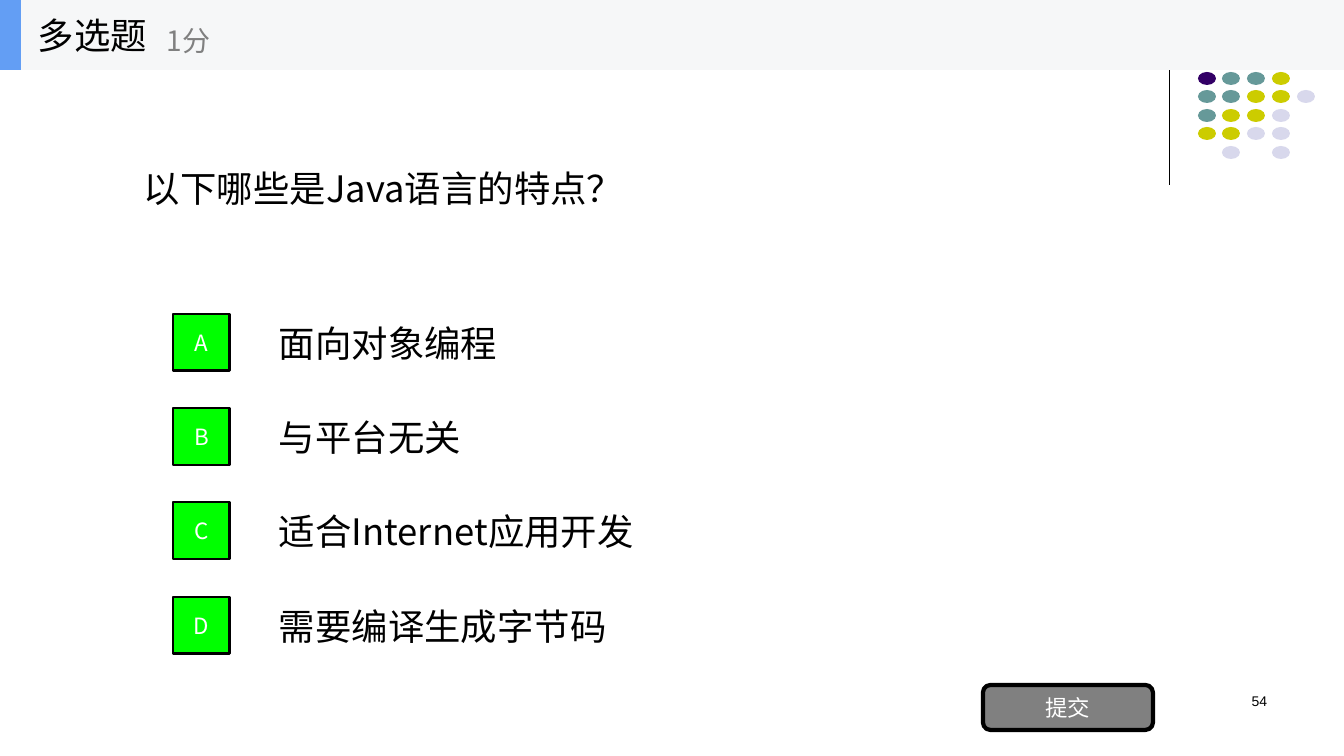
from lxml.etree import SubElement
from pptx import Presentation
from pptx.dml.color import RGBColor
from pptx.enum.shapes import MSO_CONNECTOR, MSO_SHAPE
from pptx.enum.text import MSO_ANCHOR, PP_ALIGN
from pptx.oxml.ns import qn
from pptx.util import Pt

BLACK = RGBColor(0x00, 0x00, 0x00)
WHITE = RGBColor(0xFF, 0xFF, 0xFF)
GRAY = RGBColor(0x80, 0x80, 0x80)
GREEN = RGBColor(0x00, 0xFF, 0x00)
BAND = RGBColor(0xF6, 0xF7, 0xF8)
BLUE = RGBColor(0x63, 0x9E, 0xF4)
DOTS = {
    "P": RGBColor(0x33, 0x00, 0x66),
    "T": RGBColor(0x66, 0x99, 0x99),
    "Y": RGBColor(0xCC, 0xCC, 0x00),
    "L": RGBColor(0xD8, 0xD8, 0xEC),
}
CJK = "Noto Sans CJK SC"

# Each letter is a dot colour, a point is a gap
PATTERN = ["PTTY", "TTYYL", "TYYL", "YYLL", ".L.L"]
KIND = "多选题"
SCORE = "1分"
QUESTION = "以下哪些是Java语言的特点？"
# Letter, answer, width of the answer box in px
OPTIONS = [
    ("A", "面向对象编程", 249),
    ("B", "与平台无关", 213),
    ("C", "适合Internet应用开发", 387),
    ("D", "需要编译生成字节码", 359),
]
SUBMIT = "提交"
PAGE = "54"

WIDTH, HEIGHT = 1344, 756
SCALE = 914400 / 100.8
BAR = 70


def px(*nums):
    """Turn px into EMU."""
    return [round(n * SCALE) for n in nums]


def write(shape, text, size, color, align=PP_ALIGN.LEFT,
          anchor=MSO_ANCHOR.MIDDLE, font=CJK):
    frame = shape.text_frame
    frame.word_wrap = True
    frame.vertical_anchor = anchor
    frame.text = text
    para = frame.paragraphs[0]
    para.alignment = align
    run = para.runs[0]
    run.font.size = Pt(size)
    run.font.name = font
    run.font.color.rgb = color
    SubElement(run.font._element, qn("a:ea"), typeface=font)


def label(slide, box, *args, **style):
    write(slide.shapes.add_textbox(*px(*box)), *args, **style)


def block(slide, kind, box, fill, edge=0):
    """Add a filled shape, with a black outline of edge points if any."""
    shape = slide.shapes.add_shape(kind, *px(*box))
    shape.shadow.inherit = False
    shape.fill.solid()
    shape.fill.fore_color.rgb = fill
    if edge:
        shape.line.color.rgb = BLACK
        shape.line.width = Pt(edge)
    else:
        shape.line.fill.background()
    return shape


def corner(slide):
    """Draw the upright line and the dot grid."""
    line = slide.shapes.add_connector(
        MSO_CONNECTOR.STRAIGHT, *px(1170, 17, 1170, 185))
    line.line.color.rgb = BLACK
    line.line.width = Pt(0.75)
    SubElement(line._element.spPr, qn("a:effectLst"))
    for row, codes in enumerate(PATTERN):
        for col, code in enumerate(codes):
            if code in DOTS:
                box = (1198 + col * 99 // 4, 72 + row * 37 // 2, 18, 13)
                block(slide, MSO_SHAPE.OVAL, box, DOTS[code])


def quiz(slide):
    label(slide, (134, 161, 504, 53), QUESTION, 26, BLACK)
    for i, (letter, answer, width) in enumerate(OPTIONS):
        top = 314 + i * 283 // 3
        label(slide, (269, top + 2, width, 53), answer, 26, BLACK)
        tile = block(slide, MSO_SHAPE.RECTANGLE, (173, top, 57, 57), GREEN, 2)
        write(tile, letter, 16, WHITE, PP_ALIGN.CENTER)
    button = block(slide, MSO_SHAPE.ROUNDED_RECTANGLE,
                   (983, 685, 170, 45), GRAY, 3)
    write(button, SUBMIT, 16, WHITE, PP_ALIGN.CENTER)


def header(slide):
    block(slide, MSO_SHAPE.RECTANGLE, (0, 0, WIDTH, BAR), BAND)
    block(slide, MSO_SHAPE.RECTANGLE, (0, 0, 21, BAR), BLUE)
    label(slide, (28, 0, 210, BAR), KIND, 26, BLACK)
    label(slide, (157, 12, 252, 56), SCORE, 20, GRAY)


def main():
    deck = Presentation()
    deck.slide_width, deck.slide_height = px(WIDTH, HEIGHT)
    slide = deck.slides.add_slide(deck.slide_layouts[6])
    corner(slide)
    label(slide, (964, 688, 313, 50), PAGE, 10, BLACK, align=PP_ALIGN.RIGHT,
          anchor=MSO_ANCHOR.TOP, font="Arial")
    quiz(slide)
    header(slide)
    deck.save("out.pptx")


if __name__ == "__main__":
    main()
